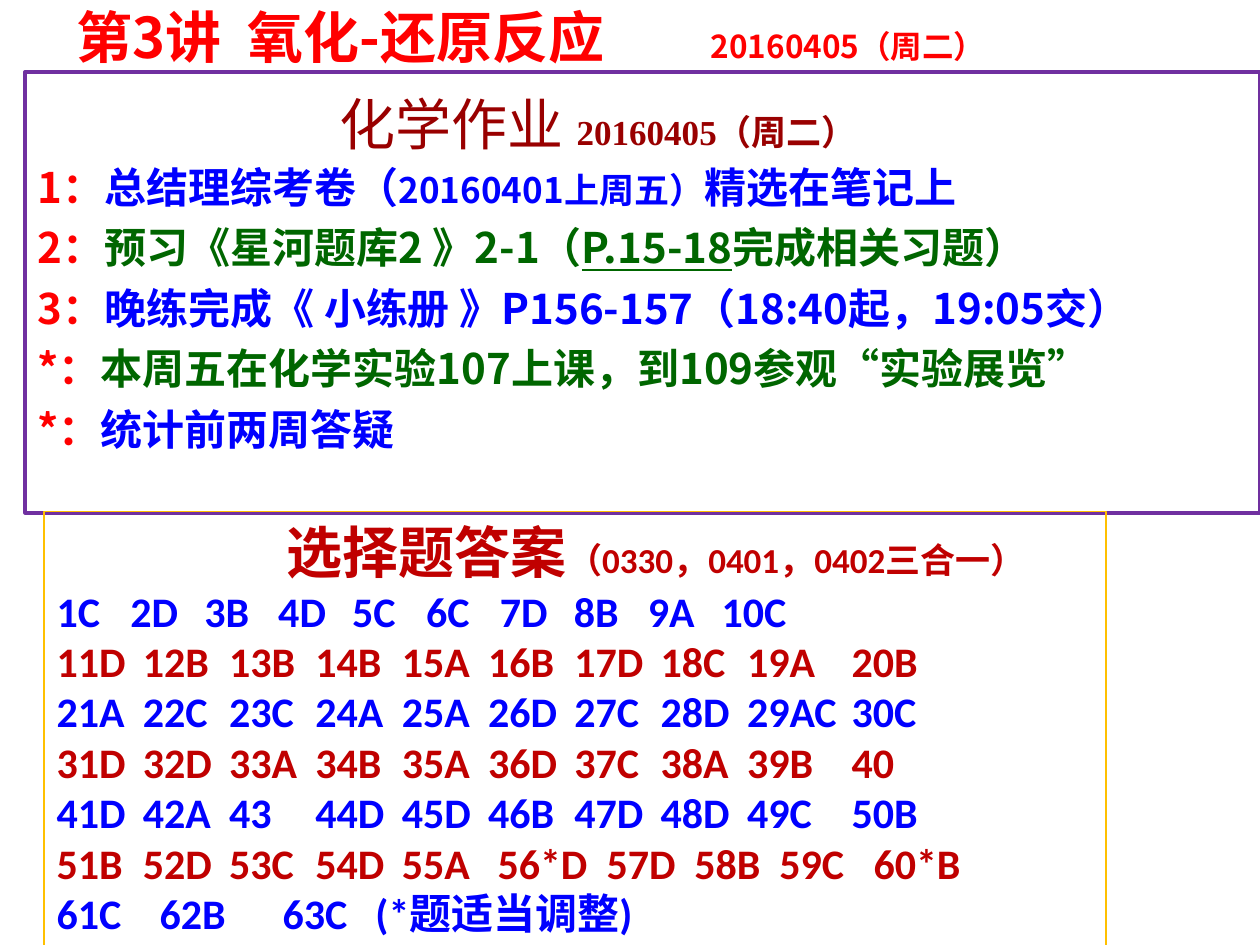
from dataclasses import dataclass

from lxml import etree
from pptx import Presentation
from pptx.dml.color import RGBColor
from pptx.enum.shapes import MSO_SHAPE
from pptx.enum.text import MSO_ANCHOR, PP_ALIGN
from pptx.oxml.ns import qn
from pptx.util import Cm, Pt

RECTANGLE = MSO_SHAPE.RECTANGLE
TOP, MIDDLE = MSO_ANCHOR.TOP, MSO_ANCHOR.MIDDLE
LEFT = PP_ALIGN.LEFT
BLANK_LAYOUT = 6


@dataclass(frozen=True)
class Theme:
    """Colours, fonts and type sizes of the slide."""
    red: str = "FF0000"
    maroon: str = "990000"
    crimson: str = "C00000"
    blue: str = "0000FF"
    green: str = "006600"
    purple: str = "7030A0"
    gold: str = "FFC000"
    white: str = "FFFFFF"
    sans: str = "Noto Sans CJK SC"
    serif: str = "Times New Roman"
    latin: str = "Calibri"
    heading: int = 32
    body: int = 24
    note: int = 20
    date: int = 18


THEME = Theme()
REGULAR_STOPS = [1.74 * column for column in range(1, 9)] + [16.03]
ANSWERS = [
    ("1C 2D 3B 4D 5C 6C 7D 8B 9A 10C", [1.49 * column for column in range(1, 10)]),
    ("11D 12B 13B 14B 15A 16B 17D 18C 19A 20B", REGULAR_STOPS),
    ("21A 22C 23C 24A 25A 26D 27C 28D 29AC 30C", REGULAR_STOPS),
    ("31D 32D 33A 34B 35A 36D 37C 38A 39B 40", REGULAR_STOPS),
    ("41D 42A 43 44D 45D 46B 47D 48D 49C 50B", REGULAR_STOPS),
    ("51B 52D 53C 54D 55A 56*D 57D 58B 59C 60*B",
     REGULAR_STOPS[:4] + [8.89, 11.09, 12.86, 14.57, 16.47]),
    ("61C 62B 63C (*题适当调整)", [2.08, 4.56, 6.43]),
]
HOMEWORK = [
    ("1：", THEME.blue, [("总结理综考卷（", {}), ("20160401上周五）", {"size": THEME.note}),
                        ("精选在笔记上", {})]),
    ("2：", THEME.green, [("预习《星河题库2 》2-1（", {}), ("P.15-18", {"underline": True}),
                         ("完成相关习题）", {})]),
    ("3：", THEME.blue, [("晚练完成《 小练册 》P156-157（18:40起，19:05交）", {})]),
    ("*：", THEME.green, [("本周五在化学实验107上课，到109参观“实验展览”", {})]),
    ("*：", THEME.blue, [("统计前两周答疑", {})]),
]


def set_frame(shape, anchor=TOP, top=0.13):
    """Wrap the text of a shape and set its anchor and top margin."""
    frame = shape.text_frame
    frame.word_wrap = True
    frame.vertical_anchor = anchor
    frame.margin_top = Cm(top)
    return frame


def add_text_box(page, place, **frame_format):
    """Add a text box and return its frame."""
    box = page.shapes.add_textbox(*map(Cm, place))
    return set_frame(box, **frame_format)


def add_panel(page, place, fill=None, line=None, width=0.75):
    """Add a rectangle and return its text frame."""
    panel = page.shapes.add_shape(RECTANGLE, *map(Cm, place))
    panel.shadow.inherit = False
    if fill:
        panel.fill.solid()
        panel.fill.fore_color.rgb = RGBColor.from_string(fill)
    else:
        panel.fill.background()
    if line:
        panel.line.color.rgb = RGBColor.from_string(line)
        panel.line.width = Pt(width)
    else:
        panel.line.fill.background()
    return set_frame(panel)


def add_para(frame, first=False, before=0, indent=0, stops=()):
    """Return a left-aligned paragraph with its indent and tab stops."""
    para = frame.paragraphs[0] if first else frame.add_paragraph()
    para.alignment = LEFT
    para.space_before = Pt(0 if first else before)
    properties = para._p.get_or_add_pPr()
    if indent:
        properties.set("marL", str(Cm(indent)))
        properties.set("indent", "0")
    if stops:
        tabs = etree.SubElement(properties, qn("a:tabLst"))
        for stop in stops:
            etree.SubElement(tabs, qn("a:tab"), pos=str(Cm(stop)), algn="l")
    return para


def add_span(para, text, size=THEME.body, color=THEME.red, font=THEME.sans,
             bold=True, underline=False):
    """Add a formatted run of text."""
    span = para.add_run()
    span.text = text
    span.font.size = Pt(size)
    span.font.name = font
    span.font.bold = bold
    span.font.underline = underline
    span.font.color.rgb = RGBColor.from_string(color)


def add_homework(page):
    """Add the homework heading and its list."""
    frame = add_text_box(page, (1.5, 1.32, 23.6, 2.31), top=0.49)
    para = add_para(frame, first=True, indent=5.1)
    add_span(para, "化学作业 ", size=THEME.heading, color=THEME.maroon,
             font=THEME.serif, bold=False)
    add_span(para, "20160405（周二）", size=THEME.note, color=THEME.maroon, font=THEME.serif)
    frame = add_panel(page, (0.51, 3.12, 24.89, 8.97), fill=THEME.white)
    for index, (label, color, parts) in enumerate(HOMEWORK):
        para = add_para(frame, first=index == 0, before=5.8)
        add_span(para, label)
        for text, text_format in parts:
            add_span(para, text, color=color, **text_format)


def add_title(page):
    """Add the lesson title and its date."""
    frame = add_text_box(page, (1.3, -0.08, 23.01, 1.63), anchor=MIDDLE)
    para = add_para(frame, first=True, stops=[12.78])
    add_span(para, "第3讲  氧化-还原反应\t", size=THEME.heading)
    add_span(para, "20160405（周二）", size=THEME.date)


def add_answers(page):
    """Add the answer key with one tabbed row for each group."""
    frame = add_panel(page, (0.89, 10.31, 21.41, 9.83), line=THEME.gold)
    para = add_para(frame, first=True, indent=4.64)
    add_span(para, "选择题答案", size=THEME.heading, color=THEME.crimson, font=THEME.latin)
    add_span(para, "（0330，0401，0402三合一）", size=THEME.note,
             color=THEME.crimson, font=THEME.latin)
    for index, (row, stops) in enumerate(ANSWERS):
        para = add_para(frame, stops=stops)
        color = THEME.crimson if index % 2 else THEME.blue
        add_span(para, row.replace(" ", "\t"), color=color, font=THEME.latin)


def main():
    """Build and save the slide."""
    deck = Presentation()
    deck.slide_width, deck.slide_height = Cm(25.4), Cm(19.05)
    page = deck.slides.add_slide(deck.slide_layouts[BLANK_LAYOUT])
    add_homework(page)
    add_title(page)
    add_panel(page, (0.51, 1.45, 24.89, 8.89), line=THEME.purple, width=2.25)
    add_answers(page)
    deck.save("out.pptx")


if __name__ == "__main__":
    main()
